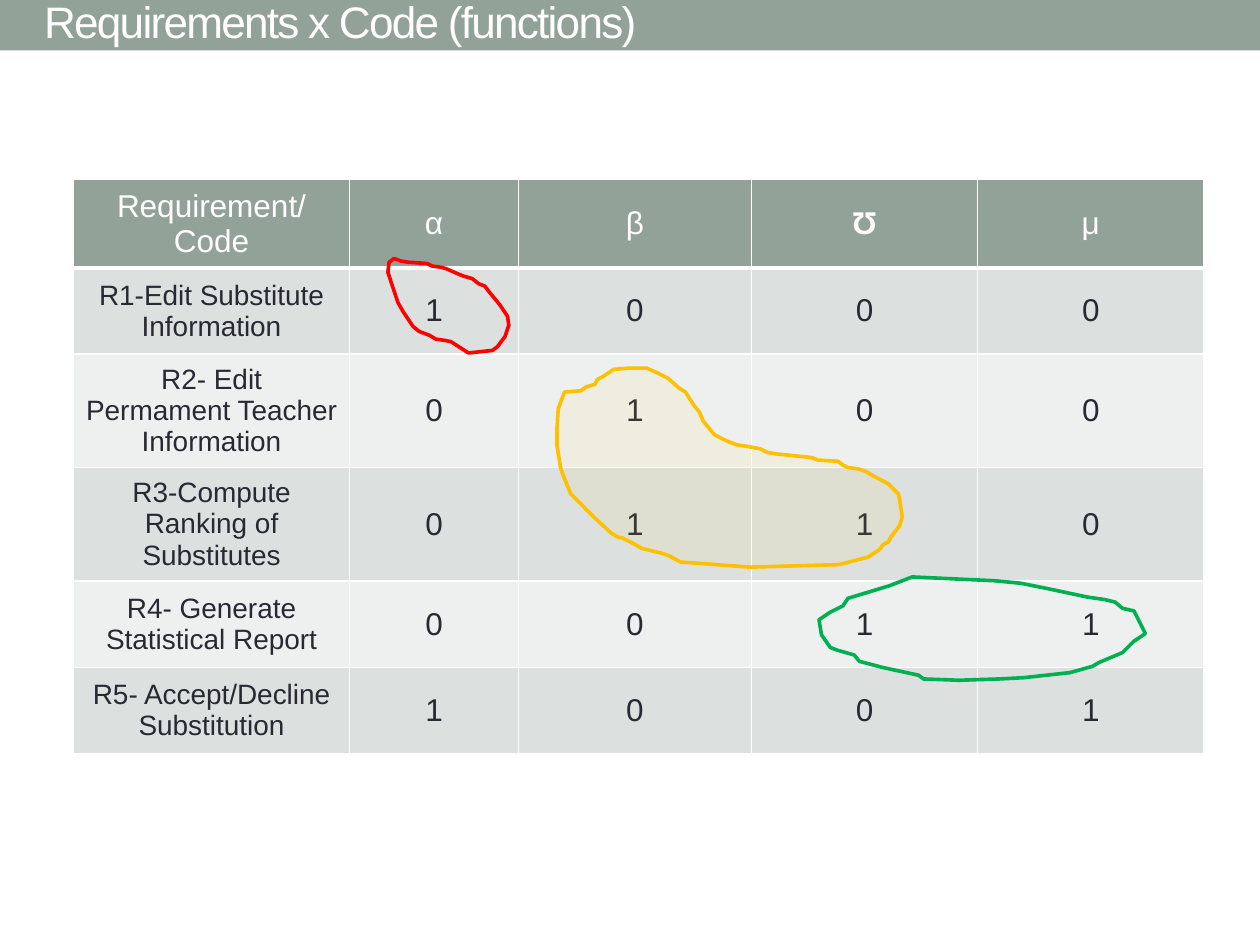
"""Traceability slide: a requirements by code matrix with three marked groups."""
import lxml.etree
import pptx
import pptx.dml.color
import pptx.enum.shapes
import pptx.enum.text
import pptx.oxml.ns
import pptx.util

Cm, Pt = pptx.util.Cm, pptx.util.Pt
qn = pptx.oxml.ns.qn


class Theme:
    """Colours and type sizes."""
    font = "Arial"
    sage, ink, white = "93A299", "292934", "FFFFFF"
    bands = ("DCE0DE", "EEF0EF")
    red, amber, green, glow = "FF0000", "FFC000", "00B050", "FAD13C"
    title, body, label = 25.2, 18, 16
    outline = 2.08


HEADER = ["Requirement/\nCode", "α", "β", "Ʊ", "μ"]
REQUIREMENTS = [
    ["R1-Edit Substitute Information", 1, 0, 0, 0],
    ["R2- Edit Permament Teacher Information", 0, 1, 0, 0],
    ["R3-Compute Ranking of Substitutes", 0, 1, 1, 0],
    ["R4- Generate Statistical Report", 0, 0, 1, 1],
    ["R5- Accept/Decline Substitution", 1, 0, 0, 1],
]
COLUMNS = [5.57, 3.4, 4.7, 4.56, 4.56]
ROW = 1.74

AMBER_LOOP = [
    (6, 19), (1, 32), (0, 47), (0, 62), (3, 80), (6, 88), (11, 100), (29, 118),
    (43, 131), (48, 134), (52, 135), (62, 140), (67, 143), (83, 147), (89, 149),
    (98, 154), (113, 155), (153, 158), (224, 156), (228, 155), (247, 150),
    (256, 144), (259, 140), (263, 138), (265, 134), (269, 129), (272, 125),
    (274, 118), (272, 105), (271, 100), (263, 92), (250, 85), (245, 82),
    (239, 80), (231, 79), (227, 77), (223, 74), (207, 73), (202, 71), (173, 68),
    (167, 67), (161, 64), (150, 62), (143, 61), (135, 58), (125, 53), (116, 42),
    (113, 35), (109, 30), (105, 24), (102, 19), (97, 16), (88, 8), (78, 3),
    (71, 0), (58, 0), (45, 1), (36, 7), (32, 9), (30, 13), (23, 15), (19, 18),
]
RED_LOOP = [
    (0, 11), (4, 23), (8, 35), (12, 42), (20, 54), (25, 58), (33, 61), (38, 64),
    (45, 65), (50, 66), (64, 75), (83, 73), (87, 70), (93, 62), (96, 53),
    (95, 46), (89, 37), (80, 26), (77, 22), (72, 20), (67, 16), (60, 14),
    (55, 12), (46, 8), (42, 7), (35, 6), (31, 4), (16, 3), (10, 2), (5, 0), (1, 3),
]
GREEN_LOOP = [
    (74, 0), (56, 7), (46, 10), (23, 17), (19, 23), (9, 28), (0, 34), (2, 46),
    (9, 56), (14, 58), (28, 62), (32, 67), (51, 72), (79, 78), (83, 81),
    (111, 82), (143, 81), (162, 80), (199, 76), (217, 71), (222, 68), (241, 60),
    (250, 51), (259, 45), (250, 27), (241, 25), (235, 20), (227, 18), (213, 16),
    (180, 9), (160, 5), (139, 3), (116, 2),
]


def rgb(value):
    """Turn a hex string into a colour."""
    return pptx.dml.color.RGBColor.from_string(value)


def style(p, size, color, bold=False):
    """Format every run of a paragraph."""
    for r in p.runs:
        r.font.name, r.font.size, r.font.bold = Theme.font, Pt(size), bold
        r.font.color.rgb = rgb(color)


def add_title_bar(s, x, y, w, h, text):
    """Draw the coloured band and its title."""
    bar = s.shapes.add_shape(pptx.enum.shapes.MSO_SHAPE.RECTANGLE,
                             Cm(x), Cm(y), Cm(w), Cm(h))
    bar.shadow.inherit = False
    bar.fill.solid()
    bar.fill.fore_color.rgb = rgb(Theme.sage)
    bar.line.fill.background()
    box = s.shapes.add_textbox(Cm(x + 0.64), Cm(y), Cm(w - 2.54), Cm(h - 0.18))
    tf = box.text_frame
    tf.word_wrap = True
    tf.vertical_anchor = pptx.enum.text.MSO_ANCHOR.MIDDLE
    tf.text = text
    style(tf.paragraphs[0], Theme.title, Theme.white)
    tf.paragraphs[0].runs[0].font._element.set("spc", "-100")


def set_borders(cell, bottom, top):
    """Give a cell white borders."""
    tc_pr = cell._tc.get_or_add_tcPr()
    widths = {"a:lnL": 1, "a:lnR": 1, "a:lnT": top, "a:lnB": bottom}
    for i, (tag, width) in enumerate(widths.items()):
        ln = lxml.etree.Element(qn(tag), w=str(Pt(width)))
        fill = lxml.etree.SubElement(ln, qn("a:solidFill"))
        lxml.etree.SubElement(fill, qn("a:srgbClr"), val=Theme.white)
        tc_pr.insert(i, ln)


def add_matrix(s, x, y):
    """Draw the requirements by code table."""
    rows = [HEADER] + REQUIREMENTS
    frame = s.shapes.add_table(len(rows), len(COLUMNS), Cm(x), Cm(y),
                               Cm(sum(COLUMNS)), Cm(ROW * len(rows)))
    table = frame.table
    for column, width in zip(table.columns, COLUMNS):
        column.width = Cm(width)
    for i, row in enumerate(rows):
        table.rows[i].height = Cm(ROW)
        for j, value in enumerate(row):
            cell = table.cell(i, j)
            cell.text = str(value)
            cell.vertical_anchor = pptx.enum.text.MSO_ANCHOR.MIDDLE
            cell.fill.solid()
            cell.fill.fore_color.rgb = rgb(Theme.bands[(i - 1) % 2] if i else Theme.sage)
            for p in cell.text_frame.paragraphs:
                p.alignment = pptx.enum.text.PP_ALIGN.CENTER
                style(p, Theme.label if i and not j else Theme.body,
                      Theme.ink if i else Theme.white, value == "Ʊ")
            set_borders(cell, bottom=1 if i else 3, top=3 if i == 1 else 1)


def add_loop(s, x, y, points, color, fill=None, opacity=8):
    """Draw a closed hand-drawn loop; points are hundredths of an inch."""
    builder = s.shapes.build_freeform(*points[0], scale=Cm(2.54) / 100)
    builder.add_line_segments(points[1:], close=True)
    sp = builder.convert_to_shape(Cm(x), Cm(y))
    sp.shadow.inherit = False
    sp.line.color.rgb = rgb(color)
    sp.line.width = Pt(Theme.outline)
    if fill:
        sp.fill.solid()
        sp.fill.fore_color.rgb = rgb(fill)
        clr = sp._element.spPr.find(qn("a:solidFill")).find(qn("a:srgbClr"))
        lxml.etree.SubElement(clr, qn("a:alpha"), val=str(opacity * 1000))
    else:
        sp.fill.background()


def main():
    """Build and save the slide."""
    prs = pptx.Presentation()
    prs.slide_width, prs.slide_height = Cm(25.4), Cm(19.05)
    s = prs.slides.add_slide(prs.slide_layouts[6])
    add_title_bar(s, 0, 0, 25.4, 1.02, "Requirements x Code (functions)")
    add_matrix(s, 1.48, 3.62)
    add_loop(s, 11.23, 7.42, AMBER_LOOP, Theme.amber, Theme.glow)
    add_loop(s, 7.82, 5.21, RED_LOOP, Theme.red)
    add_loop(s, 16.51, 11.63, GREEN_LOOP, Theme.green)
    prs.save("out.pptx")


main()
